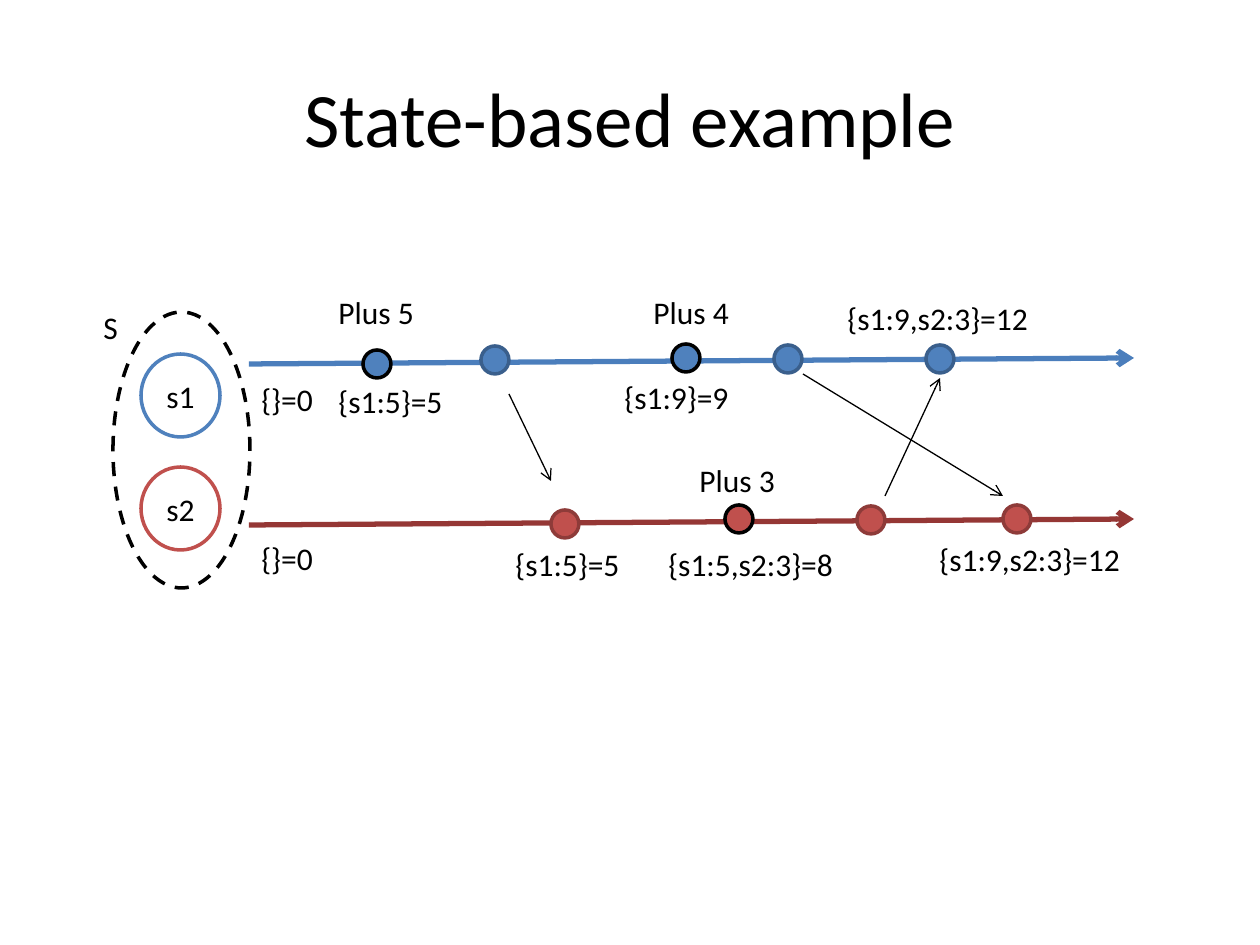
import dataclasses

import pptx
import pptx.dml.color
import pptx.enum.dml
import pptx.enum.shapes
import pptx.enum.text
import pptx.oxml
import pptx.oxml.ns
import pptx.util

EMU_PER_PX = 914400 / 126


@dataclasses.dataclass(frozen=True)
class Theme:
    font: str = "Calibri"
    title_size: int = 44
    body_size: int = 18
    outline: float = 2
    timeline: float = 3
    message: float = 0.75
    black: str = "000000"
    white: str = "FFFFFF"
    blue: str = "4F81BD"
    blue_line: str = "4B7EBC"
    blue_edge: str = "3A5F8C"
    red: str = "C0504D"
    red_line: str = "953735"
    red_edge: str = "8E3B39"


def px(length):
    return pptx.util.Emu(round(length * EMU_PER_PX))


def rgb(color):
    return pptx.dml.color.RGBColor.from_string(color)


class SlideBuilder:
    """Draws styled elements on one slide, with lengths in px."""

    def __init__(self, slide, theme):
        self.slide = slide
        self.theme = theme

    def add_text(self, text_frame, text, size, align):
        paragraph = text_frame.paragraphs[0]
        paragraph.alignment = align
        run = paragraph.add_run()
        run.text = text
        run.font.name = self.theme.font
        run.font.size = pptx.util.Pt(size)
        run.font.color.rgb = rgb(self.theme.black)

    def title(self, text, left, top, width, height):
        shape = self.slide.shapes.title
        shape.left, shape.top = px(left), px(top)
        shape.width, shape.height = px(width), px(height)
        shape.text_frame.vertical_anchor = pptx.enum.text.MSO_ANCHOR.MIDDLE
        self.add_text(shape.text_frame, text, self.theme.title_size,
                      pptx.enum.text.PP_ALIGN.CENTER)

    def ellipse(self, left, top, width, height, fill, edge, text="", dashed=False):
        shape = self.slide.shapes.add_shape(
            pptx.enum.shapes.MSO_SHAPE.OVAL, px(left), px(top), px(width), px(height))
        shape.shadow.inherit = False
        shape.fill.solid()
        shape.fill.fore_color.rgb = rgb(fill)
        shape.line.color.rgb = rgb(edge)
        shape.line.width = pptx.util.Pt(self.theme.outline)
        if dashed:
            shape.line.dash_style = pptx.enum.dml.MSO_LINE.DASH
        if text:
            shape.text_frame.vertical_anchor = pptx.enum.text.MSO_ANCHOR.MIDDLE
            self.add_text(shape.text_frame, text, self.theme.body_size,
                          pptx.enum.text.PP_ALIGN.CENTER)

    def arrow(self, start, end, color, width):
        connector = self.slide.shapes.add_connector(
            pptx.enum.shapes.MSO_CONNECTOR.STRAIGHT, *map(px, start + end))
        connector.line.color.rgb = rgb(color)
        connector.line.width = pptx.util.Pt(width)
        namespace = pptx.oxml.ns.nsdecls("a")
        properties = connector._element.spPr
        properties.find(pptx.oxml.ns.qn("a:ln")).append(
            pptx.oxml.parse_xml(f'<a:tailEnd {namespace} type="arrow"/>'))
        properties.append(pptx.oxml.parse_xml(f"<a:effectLst {namespace}/>"))

    def label(self, text, left, top, width):
        box = self.slide.shapes.add_textbox(px(left), px(top), px(width), px(50))
        box.text_frame.word_wrap = False
        box.text_frame.auto_size = pptx.enum.text.MSO_AUTO_SIZE.SHAPE_TO_FIT_TEXT
        self.add_text(box.text_frame, text, self.theme.body_size,
                      pptx.enum.text.PP_ALIGN.LEFT)


def main():
    presentation = pptx.Presentation()
    presentation.slide_width, presentation.slide_height = px(1260), px(945)
    slide = presentation.slides.add_slide(presentation.slide_layouts[5])
    theme = Theme()
    builder = SlideBuilder(slide, theme)

    builder.title("State-based example", 63, 38, 1134, 158)

    builder.ellipse(113, 312, 137, 276, theme.white, theme.black, dashed=True)
    for name, top, color in (("s1", 354, theme.blue), ("s2", 467, theme.red)):
        builder.ellipse(141, top, 79, 83, theme.white, color, name)

    for start_y, color in ((364, theme.blue_line), (525, theme.red_line)):
        builder.arrow((249, start_y), (1134, start_y - 6), color, theme.timeline)

    # Each event: left, top, whether it is a local update.
    blue_events = ((363, 350, True), (481, 346, False), (672, 344, True),
                   (774, 345, False), (926, 345, False))
    red_events = ((551, 510, False), (725, 505, True),
                  (857, 506, False), (1003, 505, False))
    for events, fill, edge in ((blue_events, theme.blue, theme.blue_edge),
                               (red_events, theme.red, theme.red_edge)):
        for left, top, is_update in events:
            builder.ellipse(left, top, 28, 28, fill, theme.black if is_update else edge)

    messages = (((509, 394), (551, 481)),
                ((803, 374), (1003, 496)),
                ((885, 496), (940, 378)))
    for start, end in messages:
        builder.arrow(start, end, theme.black, theme.message)

    labels = (
        ("S", 91, 302, 40),
        ("{}=0", 249, 374, 77),
        ("{}=0", 249, 533, 77),
        ("Plus 5", 326, 287, 102),
        ("{s1:5}=5", 326, 376, 131),
        ("{s1:5}=5", 503, 539, 131),
        ("Plus 3", 687, 455, 102),
        ("Plus 4", 641, 287, 102),
        ("{s1:9}=9", 612, 372, 131),
        ("{s1:5,s2:3}=8", 656, 539, 192),
        ("{s1:9,s2:3}=12", 927, 534, 208),
        ("{s1:9,s2:3}=12", 835, 293, 208),
    )
    for text, left, top, width in labels:
        builder.label(text, left, top, width)

    presentation.save("out.pptx")


if __name__ == "__main__":
    main()
